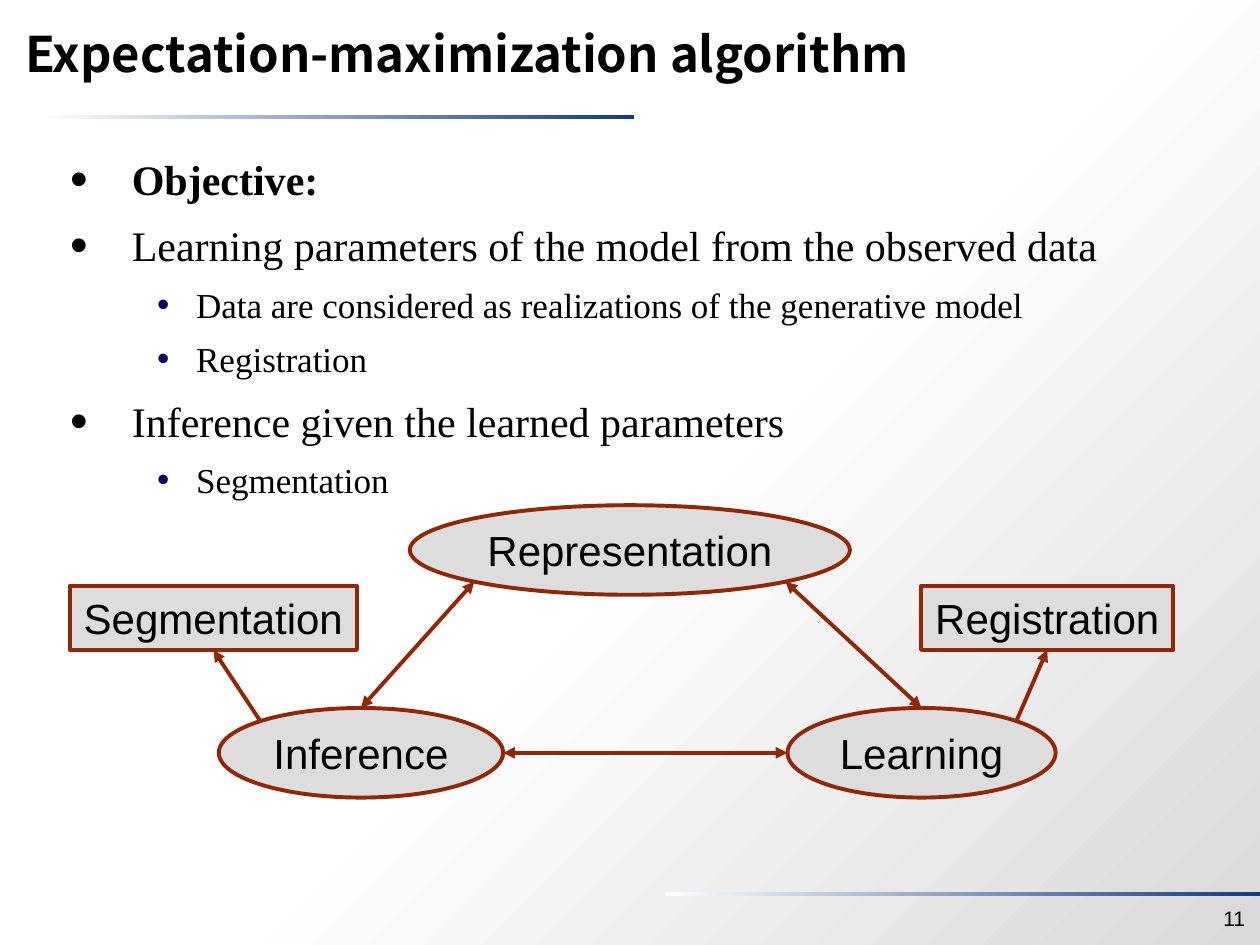
from math import cos, radians, sin

from lxml.etree import SubElement
from pptx import Presentation
from pptx.dml.color import RGBColor
from pptx.enum.shapes import MSO_CONNECTOR, MSO_SHAPE
from pptx.enum.text import MSO_ANCHOR, PP_ALIGN
from pptx.oxml.ns import qn
from pptx.util import Pt

COLORS = {
    "text": "000000",
    "node": "DDDDDD",
    "edge": "922706",
    "rule": "133984",
    "sub_bullet": "000066",
    "white": "FFFFFF",
    "shade": "D9D9D9",
}
EDGE_WIDTH = 2.25

# Per outline level: left margin, hanging indent, size, space before
LEVELS = [(35.3, -35.3, 24, 6), (72, -22.3, 20, 5)]
OUTLINE = [
    (0, "Objective:", True),
    (0, "Learning parameters of the model from the observed data", False),
    (1, "Data are considered as realizations of the generative model", False),
    (1, "Registration", False),
    (0, "Inference given the learned parameters", False),
    (1, "Segmentation", False),
]


def rgb(name):
    return RGBColor.from_string(COLORS[name])


def set_gradient(fill, owner, stops, angle):
    """Give the fill a linear gradient from (percent, colour name) stops."""
    fill.gradient()
    gradient = owner.find(".//" + qn("a:gradFill"))
    for child in list(gradient):
        gradient.remove(child)
    stop_list = SubElement(gradient, qn("a:gsLst"))
    for percent, color in stops:
        stop = SubElement(stop_list, qn("a:gs"), pos=str(percent * 1000))
        SubElement(stop, qn("a:srgbClr"), val=COLORS[color])
    SubElement(gradient, qn("a:lin"), ang=str(angle * 60000), scaled="0")


def add_run(paragraph, text, size, font, bold=False):
    run = paragraph.add_run()
    run.text = text
    run.font.size = Pt(size)
    run.font.name = font
    run.font.bold = bold
    run.font.color.rgb = rgb("text")


def add_text_frame(slide, left, top, width, height, anchor):
    box = slide.shapes.add_textbox(Pt(left), Pt(top), Pt(width), Pt(height))
    frame = box.text_frame
    frame.word_wrap = True
    frame.vertical_anchor = anchor
    return frame


def add_rule(slide, left, top):
    rule = slide.shapes.add_shape(
        MSO_SHAPE.RECTANGLE, Pt(left), Pt(top), Pt(340), Pt(2.25))
    rule.shadow.inherit = False
    rule.line.fill.background()
    set_gradient(rule.fill, rule._element, [(0, "white"), (100, "rule")], 0)


def add_title(slide, text):
    frame = add_text_frame(slide, 0, 0, 720, 60, MSO_ANCHOR.MIDDLE)
    frame.margin_left = frame.margin_right = Pt(14.4)
    frame.margin_top = frame.margin_bottom = 0
    add_run(frame.paragraphs[0], text, 28, "Noto Sans CJK SC", bold=True)


def add_bullet(paragraph, level):
    margin, indent, _, _ = LEVELS[level]
    properties = paragraph._p.get_or_add_pPr()
    properties.set("marL", str(Pt(margin)))
    properties.set("indent", str(Pt(indent)))
    if level == 0:
        SubElement(properties, qn("a:buSzPct"), val="120000")
    else:
        color = SubElement(properties, qn("a:buClr"))
        SubElement(color, qn("a:srgbClr"), val=COLORS["sub_bullet"])
    SubElement(properties, qn("a:buFont"), typeface="Arial")
    SubElement(properties, qn("a:buChar"), char="•")


def add_outline(slide):
    frame = add_text_frame(slide, 33, 78, 648, 414.5, MSO_ANCHOR.TOP)
    frame.margin_top = Pt(7)
    for index, (level, text, bold) in enumerate(OUTLINE):
        paragraph = frame.add_paragraph() if index else frame.paragraphs[0]
        _, _, size, space = LEVELS[level]
        add_bullet(paragraph, level)
        paragraph.level = level
        paragraph.line_spacing = 1.1
        if index:
            paragraph.space_before = Pt(space)
        add_run(paragraph, text, size, "Times New Roman", bold)


def add_node(slide, kind, text, left, top, width, height):
    node = slide.shapes.add_shape(
        kind, Pt(left), Pt(top), Pt(width), Pt(height))
    node.shadow.inherit = False
    node.fill.solid()
    node.fill.fore_color.rgb = rgb("node")
    node.line.color.rgb = rgb("edge")
    node.line.width = Pt(EDGE_WIDTH)
    frame = node.text_frame
    frame.word_wrap = False
    frame.vertical_anchor = MSO_ANCHOR.MIDDLE
    frame.paragraphs[0].alignment = PP_ALIGN.CENTER
    add_run(frame.paragraphs[0], text, 24, "Arial")
    return node


def rim(ellipse, angle):
    """Point on the ellipse, in degrees clockwise from its right end."""
    x = ellipse.left + ellipse.width / 2 * (1 + cos(radians(angle)))
    y = ellipse.top + ellipse.height / 2 * (1 + sin(radians(angle)))
    return Pt(x / Pt(1)), Pt(y / Pt(1))


def add_arrow(slide, start, end, both=True):
    arrow = slide.shapes.add_connector(MSO_CONNECTOR.STRAIGHT, *start, *end)
    arrow.line.color.rgb = rgb("edge")
    arrow.line.width = Pt(EDGE_WIDTH)
    line = arrow.line._get_or_add_ln()
    if both:
        SubElement(line, qn("a:headEnd"), type="triangle")
    SubElement(line, qn("a:tailEnd"), type="triangle")
    SubElement(arrow._element.spPr, qn("a:effectLst"))
    return arrow


def add_diagram(slide):
    # Model steps
    oval, box = MSO_SHAPE.OVAL, MSO_SHAPE.RECTANGLE
    representation = add_node(
        slide, oval, "Representation", 234.2, 288.7, 251.5, 51.2)
    inference = add_node(slide, oval, "Inference", 125, 404.6, 162.5, 51.2)
    learning = add_node(slide, oval, "Learning", 450, 404.6, 153.2, 51.2)

    # Exchange between the steps
    add_arrow(slide, rim(representation, 135), rim(inference, 270))
    add_arrow(slide, rim(representation, 45), rim(learning, 270))
    add_arrow(slide, rim(inference, 0), rim(learning, 180))

    # Results of inference and learning
    segmentation = add_node(slide, box, "Segmentation", 39.8, 334.8, 164.2, 36.6)
    registration = add_node(slide, box, "Registration", 526.3, 334.8, 144.2, 36.6)
    for step, angle, result in [(inference, 225, segmentation),
                                (learning, 315, registration)]:
        start = rim(step, angle)
        add_arrow(slide, start, start, both=False).end_connect(result, 2)


def add_slide_number(slide, number):
    frame = add_text_frame(slide, 550.8, 514.8, 167.8, 19.4, MSO_ANCHOR.MIDDLE)
    frame.paragraphs[0].alignment = PP_ALIGN.RIGHT
    add_run(frame.paragraphs[0], number, 12, "Arial")


def main():
    presentation = Presentation()
    presentation.slide_width, presentation.slide_height = Pt(720), Pt(540)
    slide = presentation.slides.add_slide(presentation.slide_layouts[6])

    # Background and rules
    set_gradient(slide.background.fill, slide.element,
                 [(0, "shade"), (48, "white"), (100, "white")], 225)
    add_rule(slide, 22.3, 65.7)
    add_rule(slide, 380, 509.8)

    # Content
    add_title(slide, "Expectation-maximization algorithm")
    add_outline(slide)
    add_slide_number(slide, "11")
    add_diagram(slide)
    presentation.save("out.pptx")


if __name__ == "__main__":
    main()
